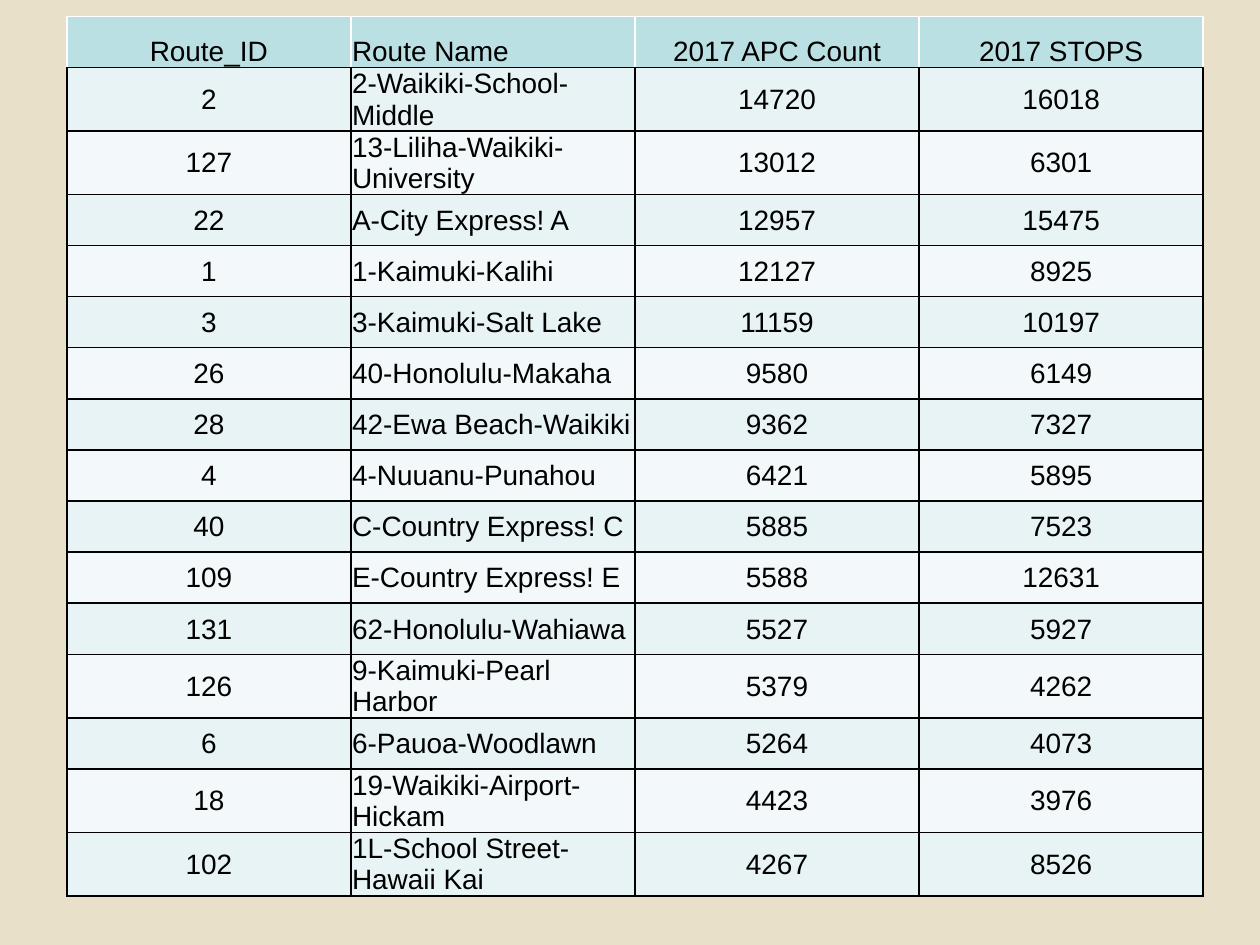
from lxml.etree import SubElement
from pptx import Presentation
from pptx.dml.color import RGBColor
from pptx.enum.text import MSO_ANCHOR, PP_ALIGN
from pptx.oxml import parse_xml
from pptx.oxml.ns import nsdecls, qn
from pptx.util import Inches, Pt

COLORS = {
    "page": "E9E0C9",
    "head": "BBE0E3",
    "odd": "E7F3F4",
    "even": "F3F9FA",
    "ink": "000000",
    "white": "FFFFFF",
}

HEADS = ["Route_ID", "Route Name", "2017 APC Count", "2017 STOPS"]
ROUTES = [
    (2, "2-Waikiki-School-Middle", 14720, 16018),
    (127, "13-Liliha-Waikiki-University", 13012, 6301),
    (22, "A-City Express! A", 12957, 15475),
    (1, "1-Kaimuki-Kalihi", 12127, 8925),
    (3, "3-Kaimuki-Salt Lake", 11159, 10197),
    (26, "40-Honolulu-Makaha", 9580, 6149),
    (28, "42-Ewa Beach-Waikiki", 9362, 7327),
    (4, "4-Nuuanu-Punahou", 6421, 5895),
    (40, "C-Country Express! C", 5885, 7523),
    (109, "E-Country Express! E", 5588, 12631),
    (131, "62-Honolulu-Wahiawa", 5527, 5927),
    (126, "9-Kaimuki-Pearl Harbor", 5379, 4262),
    (6, "6-Pauoa-Woodlawn", 5264, 4073),
    (18, "19-Waikiki-Airport-Hickam", 4423, 3976),
    (102, "1L-School Street-Hawaii Kai", 4267, 8526),
]


def tint(fill, name):
    fill.solid()
    fill.fore_color.rgb = RGBColor.from_string(COLORS[name])


def edge(cell, sides):
    props = cell._tc.get_or_add_tcPr()
    for spot, (side, name) in enumerate(sides.items()):
        line = parse_xml(f'<a:ln{side} {nsdecls("a")} w="{Pt(1)}"/>')
        solid = SubElement(line, qn("a:solidFill"))
        SubElement(solid, qn("a:srgbClr"), val=COLORS[name])
        props.insert(spot, line)


def fill_cell(cell, value, row, col):
    head = row == 0
    cell.margin_left = cell.margin_right = cell.margin_top = Inches(0.01)
    cell.margin_bottom = 0
    cell.vertical_anchor = MSO_ANCHOR.BOTTOM if head else MSO_ANCHOR.MIDDLE
    cell.text = str(value)
    para = cell.text_frame.paragraphs[0]
    para.alignment = PP_ALIGN.LEFT if col == 1 else PP_ALIGN.CENTER
    para.font.name = "Arial"
    para.font.size = Pt(16)
    para.font.bold = False
    para.font.color.rgb = RGBColor.from_string(COLORS["ink"])
    rim = "white" if head else "ink"
    edge(cell, {"L": rim, "R": rim, "T": rim, "B": "ink"})
    tint(cell.fill, "head" if head else "odd" if row % 2 else "even")


def add_grid(slide, rows, left, top, width, height):
    frame = slide.shapes.add_table(
        len(rows), len(rows[0]), left, top, width, height
    )
    table = frame.table
    for row, values in enumerate(rows):
        table.rows[row].height = Pt(29.2)
        for col, value in enumerate(values):
            fill_cell(table.cell(row, col), value, row, col)
    frame.height = height


def main():
    deck = Presentation()
    deck.slide_width, deck.slide_height = Inches(10), Inches(7.5)
    slide = deck.slides.add_slide(deck.slide_layouts[6])
    tint(slide.background.fill, "page")
    add_grid(
        slide, [HEADS, *ROUTES],
        Inches(0.53), Inches(0.13), Inches(9.02), Inches(7.18),
    )
    deck.save("out.pptx")


if __name__ == "__main__":
    main()
